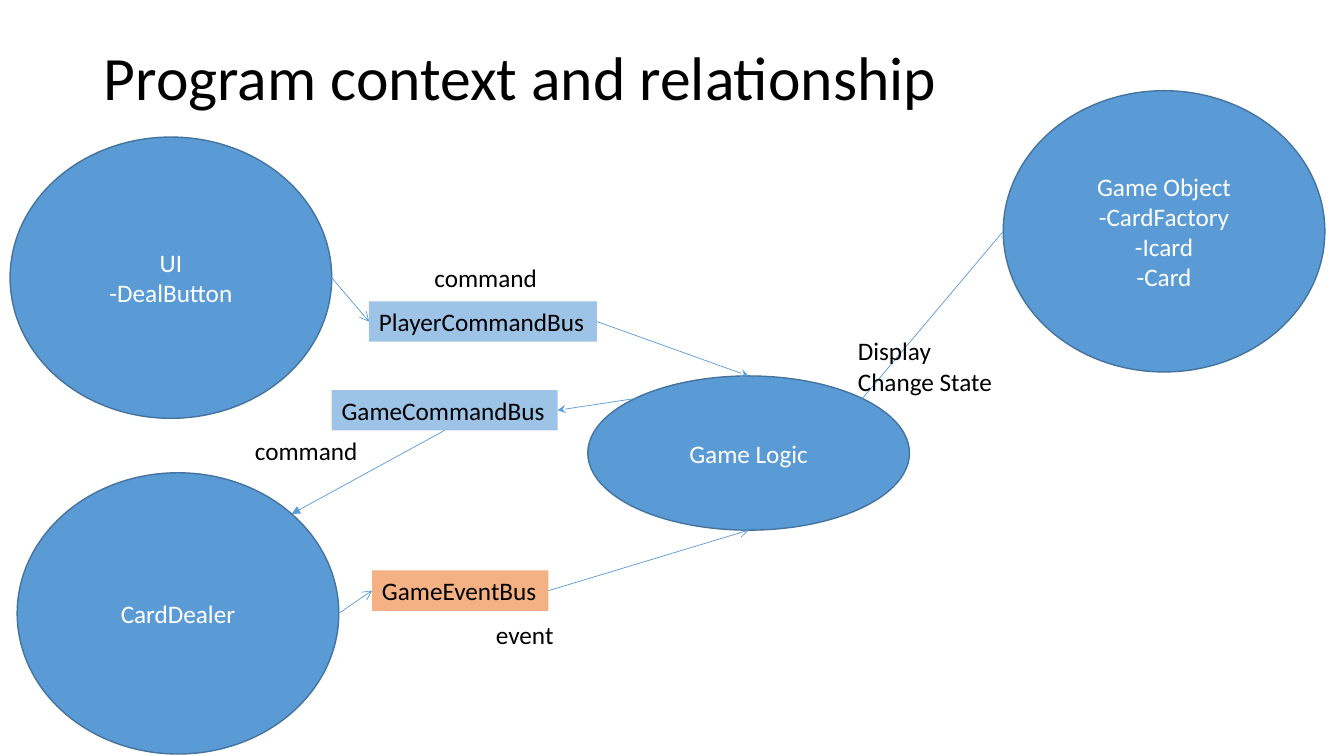
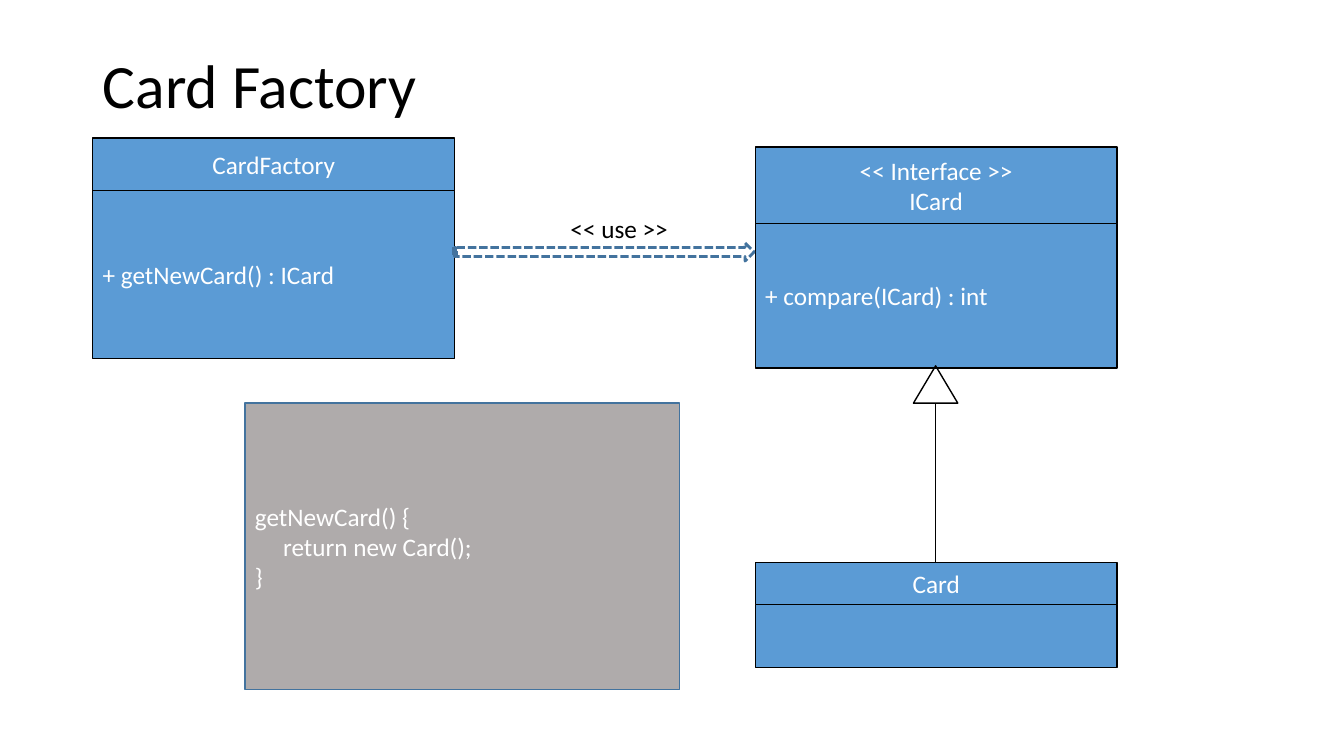
from pptx import Presentation
from pptx.dml.color import RGBColor
from pptx.enum import dml, shapes, text
from pptx.oxml.ns import qn
from pptx.util import Inches, Pt
from lxml import etree

BLUE = RGBColor(0x5B, 0x9B, 0xD5)
EDGE = RGBColor(0x43, 0x73, 0x9E)
COMMAND = RGBColor(0x9D, 0xC3, 0xE6)
EVENT = RGBColor(0xF4, 0xB1, 0x83)
GREY = RGBColor(0xAF, 0xAB, 0xAB)
BLACK = RGBColor(0, 0, 0)
WHITE = RGBColor(0xFF, 0xFF, 0xFF)
FONT = "Calibri"
LEFT, CENTER = text.PP_ALIGN.LEFT, text.PP_ALIGN.CENTER
KIND = shapes.MSO_SHAPE

# Connection sites: index in the preset, share of width, share of height
DIAGONAL = 0.1464
CIRCLE_SITES = {
    "top": (0, 0.5, 0), "top left": (1, DIAGONAL, DIAGONAL),
    "left": (2, 0, 0.5), "bottom": (4, 0.5, 1), "right": (6, 1, 0.5),
    "top right": (7, 1 - DIAGONAL, DIAGONAL),
}
BOX_SITES = {"top": (0, 0.5, 0), "left": (1, 0, 0.5),
             "bottom": (2, 0.5, 1), "right": (3, 1, 0.5)}


def write(frame, lines, color, align=LEFT, size=18):
    """Fill a text frame with one paragraph per line."""
    frame.text = "\n".join(lines)
    for paragraph in frame.paragraphs:
        paragraph.alignment = align
        paragraph.font.name = FONT
        paragraph.font.size = Pt(size)
        paragraph.font.color.rgb = color


def add_titled_slide(deck, title, left, top):
    """Add a slide whose title placeholder sits at the given corner."""
    slide = deck.slides.add_slide(deck.slide_layouts[5])
    heading = slide.shapes.title
    heading.left, heading.top = Inches(left), Inches(top)
    heading.width, heading.height = Inches(11.5), Inches(1.45)
    heading.text_frame.vertical_anchor = text.MSO_ANCHOR.MIDDLE
    write(heading.text_frame, [title], BLACK, size=44)
    heading.text_frame.paragraphs[0].line_spacing = 0.9
    return slide


def add_figure(parent, kind, box, lines=(), fill=BLUE, edge=EDGE, weight=1,
               align=CENTER):
    """Add an outlined preset shape with white, vertically centred text."""
    figure = parent.shapes.add_shape(kind, *map(Inches, box))
    figure.shadow.inherit = False
    if fill is None:
        figure.fill.background()
    else:
        figure.fill.solid()
        figure.fill.fore_color.rgb = fill
    figure.line.color.rgb = edge
    figure.line.width = Pt(weight)
    if lines:
        figure.text_frame.vertical_anchor = text.MSO_ANCHOR.MIDDLE
        write(figure.text_frame, lines, WHITE, align)
    return figure


def add_label(slide, lines, box, fill=None):
    """Add black text that does not wrap, on a filled ground if asked."""
    label = slide.shapes.add_textbox(*map(Inches, box))
    label.text_frame.word_wrap = False
    label.text_frame.auto_size = text.MSO_AUTO_SIZE.SHAPE_TO_FIT_TEXT
    write(label.text_frame, lines, BLACK)
    if fill is not None:
        label.fill.solid()
        label.fill.fore_color.rgb = fill
    return label


def add_line(parent, start, end, color):
    """Add a thin straight line without shadow."""
    line = parent.shapes.add_connector(shapes.MSO_CONNECTOR.STRAIGHT, *start, *end)
    line.line.color.rgb = color
    line.line.width = Pt(0.5)
    etree.SubElement(line._element.spPr, qn("a:effectLst"))
    return line


def site_on(figure, side):
    """Return the connection index and the point of a side of a shape."""
    is_circle = (figure.shape_type == shapes.MSO_SHAPE_TYPE.AUTO_SHAPE
                 and figure.auto_shape_type == KIND.OVAL)
    index, across, down = (CIRCLE_SITES if is_circle else BOX_SITES)[side]
    return index, (round(figure.left + across * figure.width),
                   round(figure.top + down * figure.height))


def connect(slide, source, source_side, target, target_side, arrowhead=None):
    """Glue a line from source to target, with an arrowhead at the target."""
    start_index, start = site_on(source, source_side)
    end_index, end = site_on(target, target_side)
    line = add_line(slide, start, end, BLUE)
    glue = line._element.find(qn("p:nvCxnSpPr")).find(qn("p:cNvCxnSpPr"))
    for tag, figure, index in (("a:stCxn", source, start_index),
                               ("a:endCxn", target, end_index)):
        etree.SubElement(glue, qn(tag), id=str(figure.shape_id), idx=str(index))
    if arrowhead:
        etree.SubElement(line.line._get_or_add_ln(), qn("a:tailEnd"), type=arrowhead)


def add_class(slide, left, top, name_height, member_height, name, members=()):
    """Add a grouped class box: name compartment above its members."""
    group = slide.shapes.add_group_shape()
    width = 3.59
    add_figure(group, KIND.RECTANGLE,
               (left, top + name_height, width, member_height), members,
               edge=BLACK, align=LEFT)
    add_figure(group, KIND.RECTANGLE, (left, top, width, name_height), name,
               edge=BLACK)


def add_inheritance(slide, center, top, bottom):
    """Add a hollow triangle with a stem down to the subclass."""
    group = slide.shapes.add_group_shape()
    width, height = 0.44, 0.37
    add_figure(group, KIND.ISOSCELES_TRIANGLE,
               (center - width / 2, top, width, height), fill=None, edge=BLACK)
    add_line(group, (Inches(center), Inches(top + height)),
             (Inches(center), Inches(bottom)), BLACK)


def build_context(deck):
    """Show the program parts and the buses between them."""
    slide = add_titled_slide(deck, "Program context and relationship", 0.93, 0.07)

    def add_part(lines, left, top, height=2.79):
        return add_figure(slide, KIND.OVAL, (left, top, 3.19, height), lines)

    logic = add_part(["Game Logic"], 5.83, 3.73, 1.53)
    ui = add_part(["UI", "-DealButton"], 0.1, 1.36)
    game_object = add_part(["Game Object", "-CardFactory", "-Icard", "-Card"],
                           9.95, 0.9)
    dealer = add_part(["CardDealer"], 0.17, 4.69)

    player_bus = add_label(slide, ["PlayerCommandBus"], (3.66, 2.99, 2.26, 0.4), COMMAND)
    game_bus = add_label(slide, ["GameCommandBus"], (3.29, 3.87, 2.24, 0.4), COMMAND)
    event_bus = add_label(slide, ["GameEventBus"], (3.69, 5.66, 1.75, 0.4), EVENT)

    connect(slide, ui, "right", player_bus, "left", "arrow")
    connect(slide, player_bus, "right", logic, "top", "stealth")
    connect(slide, logic, "top left", game_bus, "right", "stealth")
    connect(slide, game_bus, "bottom", dealer, "top right", "triangle")
    connect(slide, dealer, "right", event_bus, "left", "arrow")
    connect(slide, event_bus, "right", logic, "bottom", "arrow")
    connect(slide, logic, "top right", game_object, "left")

    add_label(slide, ["Display", "Change State"], (8.41, 3.28, 1.55, 0.71))
    add_label(slide, ["command"], (4.21, 2.55, 1.23, 0.4))
    add_label(slide, ["command"], (2.43, 4.27, 1.23, 0.4))
    add_label(slide, ["event"], (4.82, 6.09, 0.78, 0.4))


def build_card_factory(deck):
    """Show the class diagram of the card factory."""
    slide = add_titled_slide(deck, "Card Factory", 0.92, 0.15)
    add_class(slide, 0.92, 1.37, 0.52, 1.67, ["CardFactory"],
              ["+ getNewCard() : ICard"])
    add_class(slide, 7.49, 5.58, 0.42, 0.62, ["Card"])
    add_class(slide, 7.49, 1.46, 0.76, 1.43, ["<< Interface >>", "ICard"],
              ["+ compare(ICard) : int"])
    add_inheritance(slide, 9.28, 3.63, 5.58)

    use_arrow = add_figure(slide, KIND.STRIPED_RIGHT_ARROW,
                           (4.5, 2.41, 2.98, 0.18), fill=None, weight=2)
    use_arrow.line.dash_style = dml.MSO_LINE.SQUARE_DOT
    add_label(slide, ["<< use >>"], (5.56, 2.07, 1.18, 0.4))

    method = add_figure(slide, KIND.FLOWCHART_PROCESS, (2.43, 4, 4.31, 2.84),
                        ["getNewCard() {", "return new Card();", "}"],
                        fill=GREY, align=LEFT)
    method_body = method.text_frame.paragraphs[1]
    method_body._p.get_or_add_pPr().set("marL", str(Inches(0.28)))


def main():
    """Build and save the deck."""
    deck = Presentation()
    deck.slide_width, deck.slide_height = Inches(13.33), Inches(7.5)
    build_context(deck)
    build_card_factory(deck)
    deck.save("out.pptx")


main()
